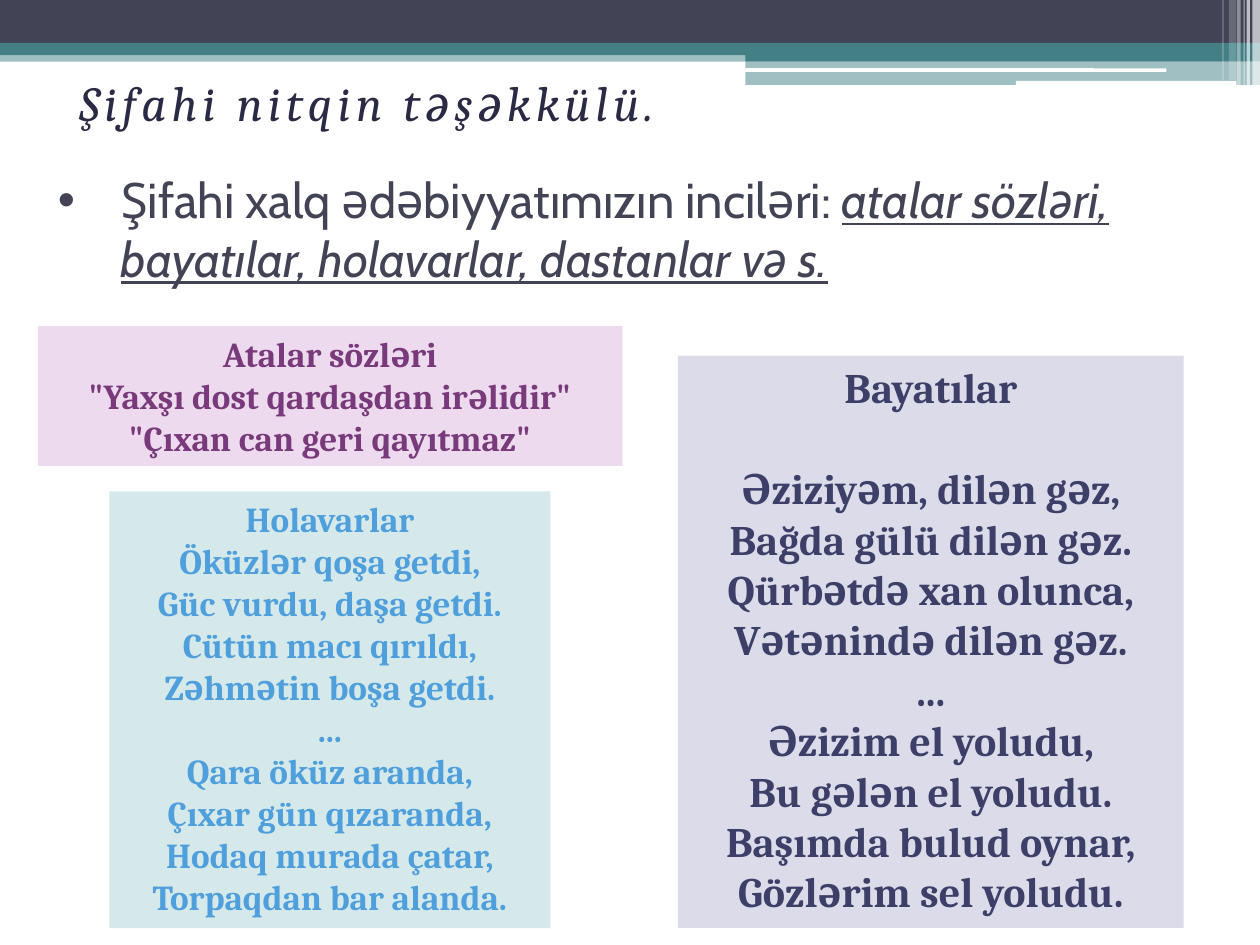
import pptx
import pptx.util
import pptx.dml.color
import pptx.enum.shapes
import pptx.enum.text
import pptx.oxml
import pptx.oxml.ns
from lxml import etree

Pt = pptx.util.Pt
SHAPES = pptx.enum.shapes.MSO_SHAPE
ALIGN = pptx.enum.text.PP_ALIGN
ANCHOR = pptx.enum.text.MSO_ANCHOR
FIT = pptx.enum.text.MSO_AUTO_SIZE

COLORS = {
    "white": "FFFFFF", "slate": "424456", "teal": "438086", "title": "2A2A45",
    "lilac": "DBDBE9", "indigo": "3E3F68", "mint": "D6E9EA", "blue": "4E9FDB",
    "pink": "EDDAEE", "purple": "783A7A",
}


def rgb(name):
    return pptx.dml.color.RGBColor.from_string(COLORS[name])


def sub(parent, tag, **attrs):
    return etree.SubElement(parent, pptx.oxml.ns.qn(tag), **attrs)


class Deck:
    serif, sans = "Cambria", "Cabin"

    def __init__(self, width, height):
        self.prs = pptx.Presentation()
        self.prs.slide_width, self.prs.slide_height = Pt(width), Pt(height)
        self.s = self.prs.slides.add_slide(self.prs.slide_layouts[5])

    def place(self, sp, box):
        sp.left, sp.top, sp.width, sp.height = map(Pt, box)

    def style(self, font, name, size, color, bold=False, italic=False):
        font.name, font.size = name, Pt(size)
        font.bold, font.italic = bold, italic
        font.color.rgb = rgb(color)

    def bar(self, box, color, opacity=100, kind=SHAPES.RECTANGLE):
        sp = self.s.shapes.add_shape(kind, *map(Pt, box))
        sp.shadow.inherit = False
        sp.fill.solid()
        sp.fill.fore_color.rgb = rgb(color)
        sp.line.fill.background()
        if opacity < 100:
            clr = sp.fill._xPr.find(".//" + pptx.oxml.ns.qn("a:srgbClr"))
            sub(clr, "a:alpha", val=str(opacity * 1000))
        return sp

    def title(self, box, text, size, color, spacing):
        sp = self.s.shapes.title
        self.place(sp, box)
        tf = sp.text_frame
        tf.text = text
        tf.word_wrap, tf.auto_size = False, FIT.SHAPE_TO_FIT_TEXT
        tf.vertical_anchor = ANCHOR.TOP
        p = tf.paragraphs[0]
        p.alignment = ALIGN.CENTER
        r = p.runs[0]
        self.style(r.font, self.serif, size, color, italic=True)
        r.font._element.set("spc", str(spacing * 100))

    def bullet(self, box, parts, size, color, indent):
        sp = self.s.shapes.add_textbox(*map(Pt, box))
        tf = sp.text_frame
        tf.word_wrap, tf.vertical_anchor = True, ANCHOR.MIDDLE
        p = tf.paragraphs[0]
        pPr = p._p.get_or_add_pPr()
        pPr.set("marL", str(Pt(indent)))
        pPr.set("indent", str(-Pt(indent)))
        sub(pPr, "a:buFont", typeface="Arial")
        sub(pPr, "a:buChar", char="•")
        for text, emphasis in parts:
            r = p.add_run()
            r.text = text
            self.style(r.font, self.sans, size, color, italic=emphasis)
            r.font.underline = emphasis

    def card(self, box, fill, color, size, lines, heading_gap=0):
        tf = self.bar(box, fill).text_frame
        tf.text = "\n".join(lines)
        tf.word_wrap, tf.auto_size = False, FIT.SHAPE_TO_FIT_TEXT
        tf.vertical_anchor = ANCHOR.TOP
        for p in tf.paragraphs:
            p.alignment = ALIGN.CENTER
            self.style(p.runs[0].font, self.serif, size, color, bold=True)
        if heading_gap:
            tf.paragraphs[0].space_after = Pt(heading_gap)


def main():
    deck = Deck(720, 540)

    # Header bands
    deck.bar((0, 28.8, 720, 6.5), "teal", 50)
    deck.bar((0, 0, 720, 24.5), "slate")
    deck.bar((0, 24.5, 720, 7), "teal")
    deck.bar((426, 28, 294, 7), "teal")
    deck.bar((426, 34.6, 294, 14), "teal", 50)
    for box in ((425.5, 39, 241, 2), (580.5, 46.2, 126, 2.6)):
        deck.bar(box, "white", kind=SHAPES.ROUNDED_RECTANGLE)

    # Vertical stripes in the corner: left, width, height, opacity
    for left, width, height, opacity in (
        (715.7, 4.3, 49, 65), (712.3, 2, 49, 65), (710.6, 0.7, 49, 60),
        (707, 2, 49, 40), (702.2, 4.3, 46, 20), (698.5, 0.7, 46, 30),
    ):
        deck.bar((left, 0, width, height), "white", opacity)

    # Title
    deck.title((21.6, 37.6, 376, 41), "Şifahi nitqin təşəkkülü.", 28, "title", 3)

    # Verse and proverb cards
    deck.card((387.4, 203.3, 289, 327), "lilac", "indigo", 24, (
        "Bayatılar",
        "Əziziyəm, dilən gəz,", "Bağda gülü dilən gəz.",
        "Qürbətdə xan olunca,", "Vətənində dilən gəz.",
        "...",
        "Əzizim el yoludu,", "Bu gələn el yoludu.",
        "Başımda bulud oynar,", "Gözlərim sel yoludu.",
    ), heading_gap=28.8)
    deck.card((62.6, 280.8, 252, 249.6), "mint", "blue", 20, (
        "Holavarlar",
        "Öküzlər qoşa getdi,", "Güc vurdu, daşa getdi.",
        "Cütün macı qırıldı,", "Zəhmətin boşa getdi.",
        "...",
        "Qara öküz aranda,", "Çıxar gün qızaranda,",
        "Hodaq murada çatar,", "Torpaqdan bar alanda.",
    ))
    deck.card((21.6, 186.3, 334, 80), "pink", "purple", 20, (
        "Atalar sözləri",
        '"Yaxşı dost qardaşdan irəlidir"', '"Çıxan can geri qayıtmaz"',
    ))

    # Introductory bullet
    deck.bullet((26, 88.6, 660, 84), (
        ("Şifahi xalq ədəbiyyatımızın inciləri: ", False),
        ("atalar sözləri, bayatılar, holavarlar, dastanlar və s.", True),
    ), 28, "slate", 36)

    deck.prs.save("out.pptx")


if __name__ == "__main__":
    main()
